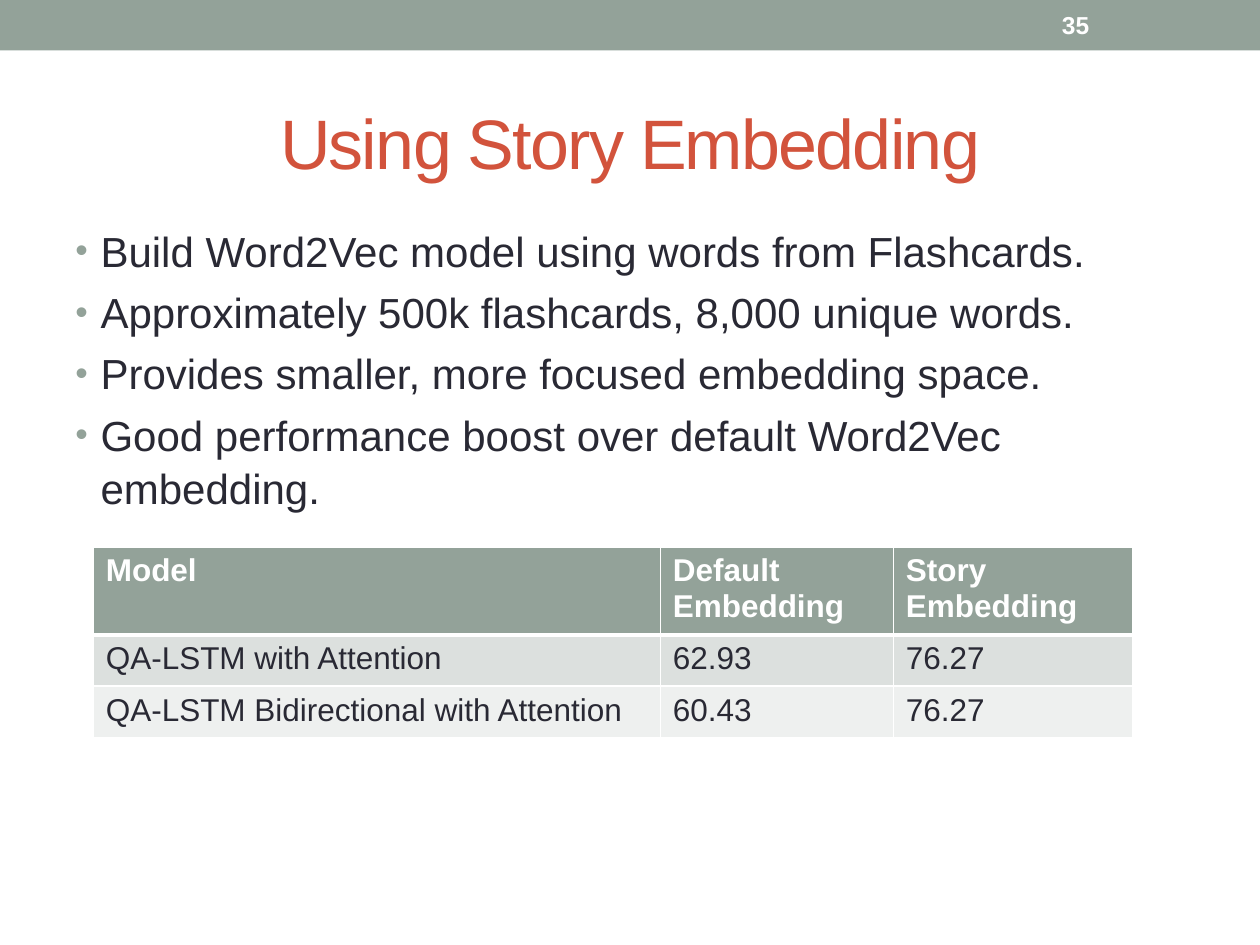
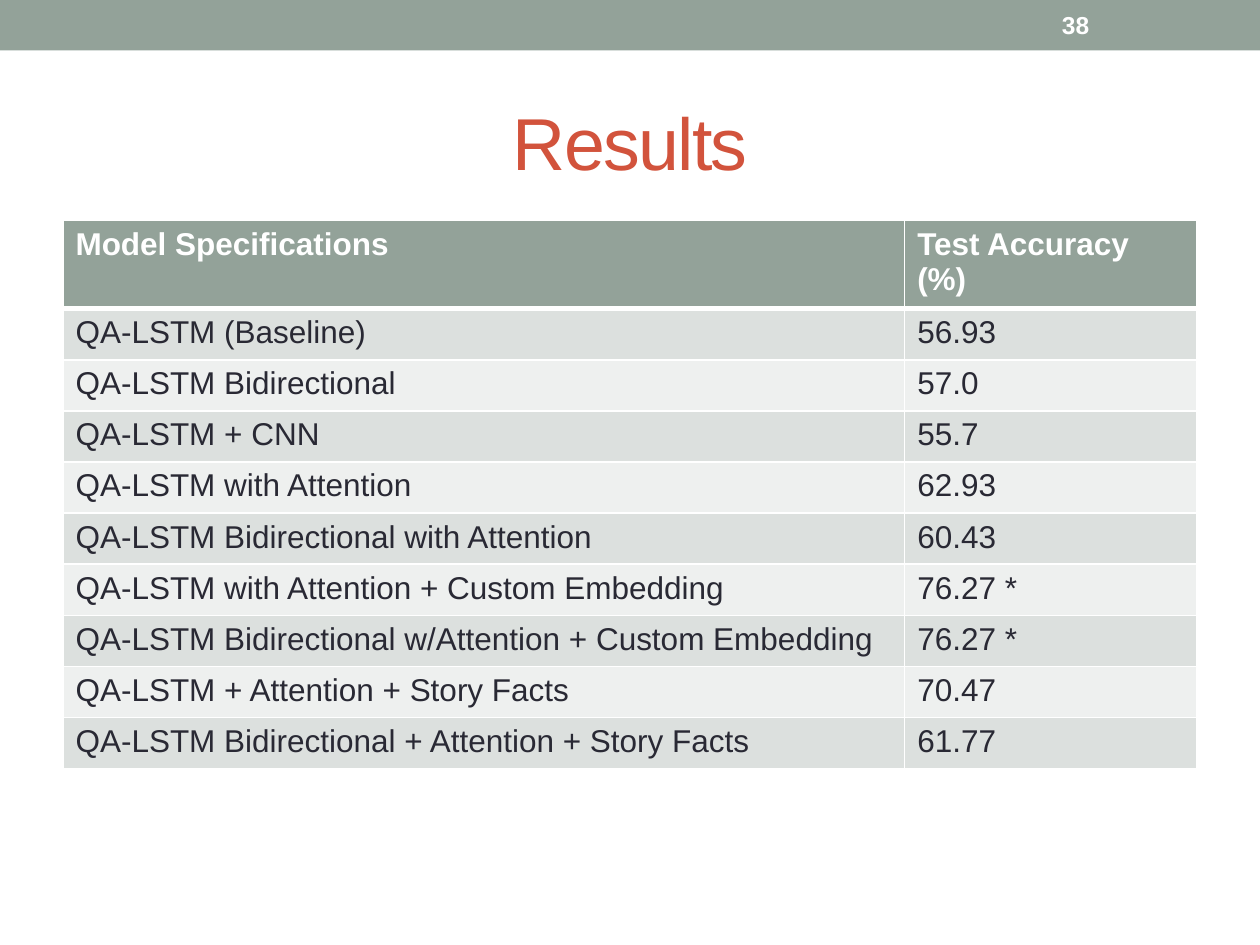
from dataclasses import dataclass

import lxml.etree
import pptx
import pptx.dml.color
import pptx.enum.shapes
import pptx.enum.text
import pptx.oxml.ns
import pptx.util

WIDTH, HEIGHT = pptx.util.Inches(10), pptx.util.Inches(7.5)
COLS, ROWS = 20, 15  # grid of half-inch cells


@dataclass(frozen=True)
class Theme:
    font: str = "Arial"
    band: str = "93A299"
    title: str = "D2533C"
    ink: str = "292934"
    paper: str = "FFFFFF"
    stripes: tuple = ("DCE0DE", "EEF0EF")
    title_size: int = 42
    body_size: int = 24
    table_size: int = 18
    number_size: int = 14
    header_height: float = 47
    row_height: float = 29.2


def rgb(value):
    return pptx.dml.color.RGBColor.from_string(value)


def add_xml(parent, tag, **attrs):
    return lxml.etree.SubElement(parent, pptx.oxml.ns.qn(tag), **attrs)


class Deck:
    """Theme, presentation and current slide; lengths are in grid cells."""

    def __init__(self, theme):
        self.theme = theme
        self.prs = pptx.Presentation()
        self.prs.slide_width, self.prs.slide_height = WIDTH, HEIGHT

    def box(self, col, row, cols, rows):
        return [int(n) for n in (col * WIDTH / COLS, row * HEIGHT / ROWS,
                                 cols * WIDTH / COLS, rows * HEIGHT / ROWS)]

    def style(self, p, size, color, bold=False):
        p.font.name = self.theme.font
        p.font.size = pptx.util.Pt(size)
        p.font.color.rgb = rgb(color)
        p.font.bold = bold

    def text(self, place, lines, size, color, bold=False, middle=True):
        """Add a wrapping text box and return its styled paragraphs."""
        tf = self.s.shapes.add_textbox(*self.box(*place)).text_frame
        tf.word_wrap = True
        if middle:
            tf.vertical_anchor = pptx.enum.text.MSO_ANCHOR.MIDDLE
        tf.text = "\n".join(lines)
        for p in tf.paragraphs:
            self.style(p, size, color, bold)
        return tf.paragraphs

    def slide(self, title, number, title_size=None):
        t = self.theme
        self.s = self.prs.slides.add_slide(self.prs.slide_layouts[6])
        self.band()
        p = self.text((1, 1.16, 18, 2.16), [title],
                      title_size or t.title_size, t.title)[0]
        p.alignment = pptx.enum.text.PP_ALIGN.CENTER
        p.runs[0].font._element.set("spc", "-100")
        self.text((16.66, 0.04, 2.34, 0.72), [str(number)],
                  t.number_size, t.paper, bold=True)

    def band(self):
        sp = self.s.shapes.add_shape(pptx.enum.shapes.MSO_SHAPE.RECTANGLE,
                                     *self.box(0, 0, COLS, 0.8))
        sp.shadow.inherit = False
        sp.fill.solid()
        sp.fill.fore_color.rgb = rgb(self.theme.band)
        sp.line.fill.background()

    def bullets(self, place, lines):
        t = self.theme
        indent = pptx.util.Inches(0.2)
        for p in self.text(place, lines, t.body_size, t.ink, middle=False):
            p.line_spacing = 1.05
            p.space_before = pptx.util.Pt(0.2 * t.body_size)
            pPr = p._p.get_or_add_pPr()
            pPr.set("marL", str(indent))
            pPr.set("indent", str(-indent))
            marks = [lxml.etree.Element(pptx.oxml.ns.qn(tag)) for tag in
                     ("a:buClr", "a:buSzPct", "a:buFont", "a:buChar")]
            add_xml(marks[0], "a:srgbClr", val=t.band)
            marks[1].set("val", "85000")
            marks[2].set("typeface", t.font)
            marks[3].set("char", "•")
            defaults = pPr.find(pptx.oxml.ns.qn("a:defRPr"))
            for mark in marks:
                defaults.addprevious(mark)

    def table(self, col, row, widths, data):
        t = self.theme
        frame = self.s.shapes.add_table(
            len(data), len(widths), *self.box(col, row, sum(widths), 1))
        table = frame.table
        for column, width in zip(table.columns, widths):
            column.width = self.box(0, 0, width, 0)[2]
        for i, values in enumerate(data):
            header = i == 0
            table.rows[i].height = pptx.util.Pt(
                t.header_height if header else t.row_height)
            for j, value in enumerate(values):
                cell = table.cell(i, j)
                cell.text = value
                self.style(cell.text_frame.paragraphs[0], t.table_size,
                           t.paper if header else t.ink, header)
                self.borders(cell, top=3 if i == 1 else 1,
                             bottom=3 if header else 1)
                cell.fill.solid()
                cell.fill.fore_color.rgb = rgb(
                    t.band if header else t.stripes[(i - 1) % 2])
        frame.height = sum(r.height for r in table.rows)

    def borders(self, cell, top, bottom):
        tcPr = cell._tc.get_or_add_tcPr()
        for side, width in zip("LRTB", (1, 1, top, bottom)):
            ln = add_xml(tcPr, f"a:ln{side}", w=str(pptx.util.Pt(width)))
            add_xml(add_xml(ln, "a:solidFill"), "a:srgbClr",
                    val=self.theme.paper)


def embedding_slide(deck):
    deck.slide("Using Story Embedding", 35, title_size=40)
    deck.bullets((1, 3.44, 18, 10.66), [
        "Build Word2Vec model using words from Flashcards.",
        "Approximately 500k flashcards, 8,000 unique words.",
        "Provides smaller, more focused embedding space.",
        "Good performance boost over default Word2Vec embedding.",
    ])
    deck.table(1.48, 8.68, (9, 3.7, 3.8), [
        ("Model", "Default Embedding", "Story Embedding"),
        ("QA-LSTM with Attention", "62.93", "76.27"),
        ("QA-LSTM Bidirectional with Attention", "60.43", "76.27"),
    ])


def results_slide(deck):
    deck.slide("Results", 38)
    deck.table(1, 3.5, (13.36, 4.64), [
        ("Model Specifications", "Test Accuracy (%)"),
        ("QA-LSTM (Baseline)", "56.93"),
        ("QA-LSTM Bidirectional", "57.0"),
        ("QA-LSTM + CNN", "55.7"),
        ("QA-LSTM with Attention", "62.93"),
        ("QA-LSTM Bidirectional with Attention", "60.43"),
        ("QA-LSTM with Attention + Custom Embedding", "76.27 *"),
        ("QA-LSTM Bidirectional w/Attention + Custom Embedding", "76.27 *"),
        ("QA-LSTM + Attention + Story Facts", "70.47"),
        ("QA-LSTM Bidirectional + Attention + Story Facts", "61.77"),
    ])


def main():
    deck = Deck(Theme())
    embedding_slide(deck)
    results_slide(deck)
    deck.prs.save("out.pptx")


if __name__ == "__main__":
    main()
